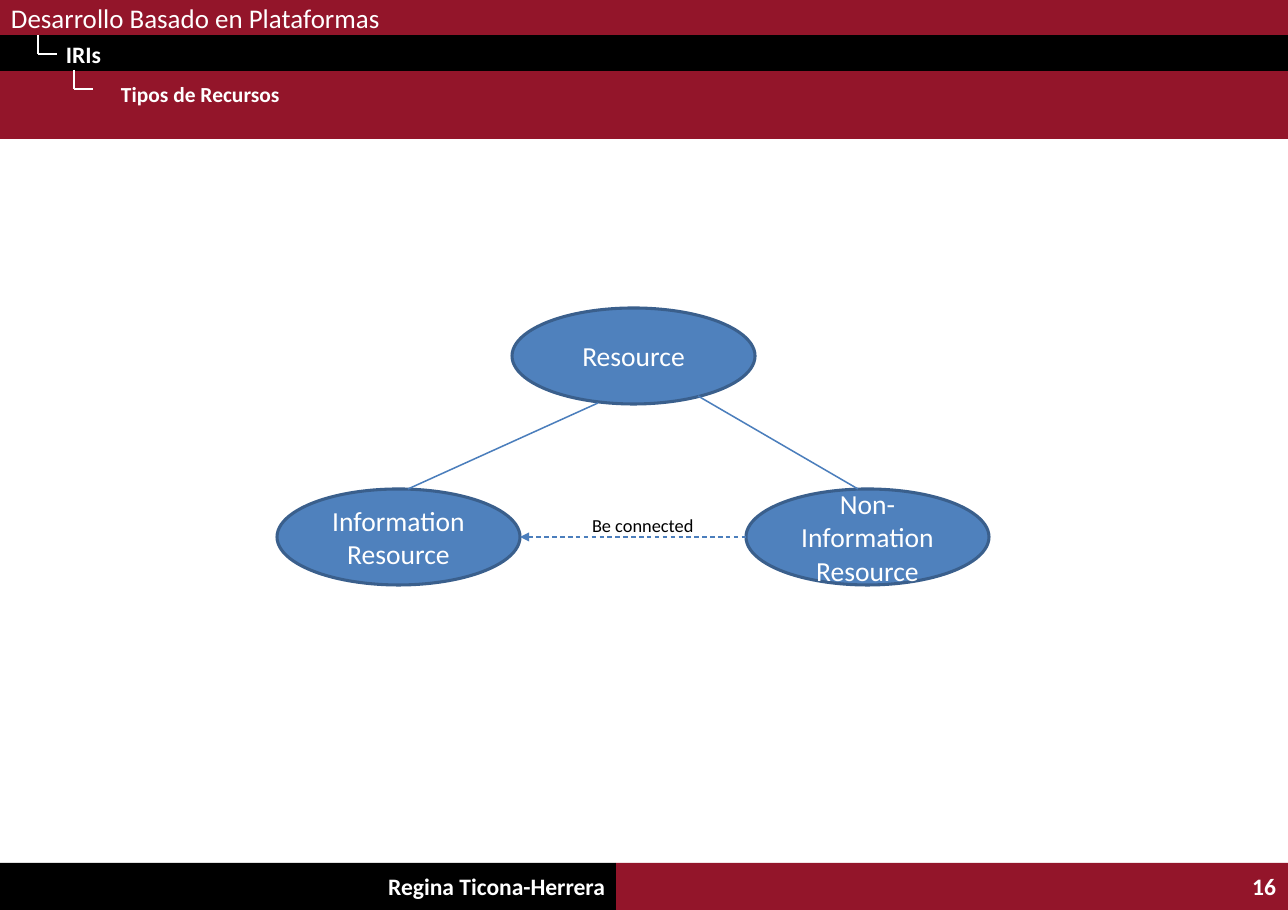
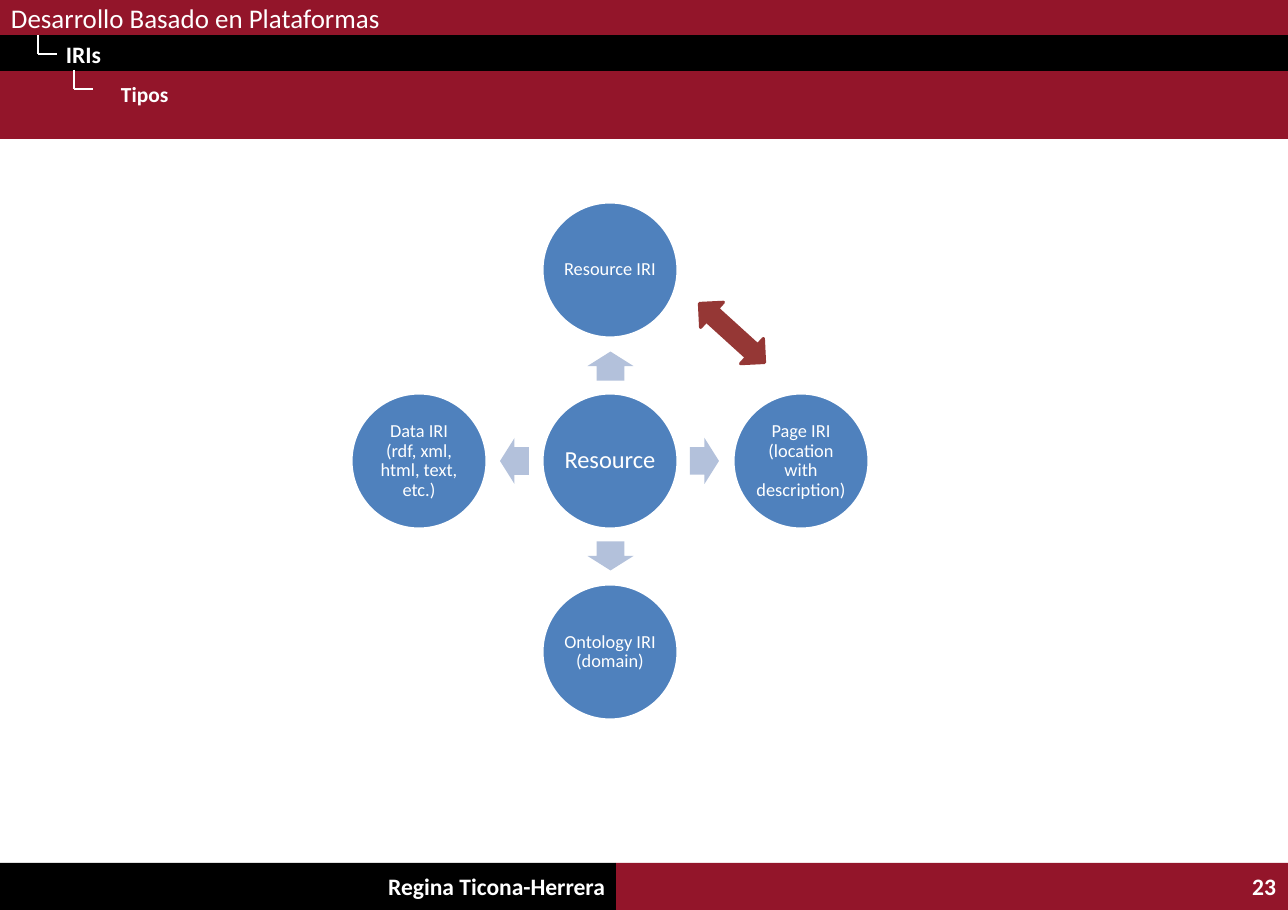
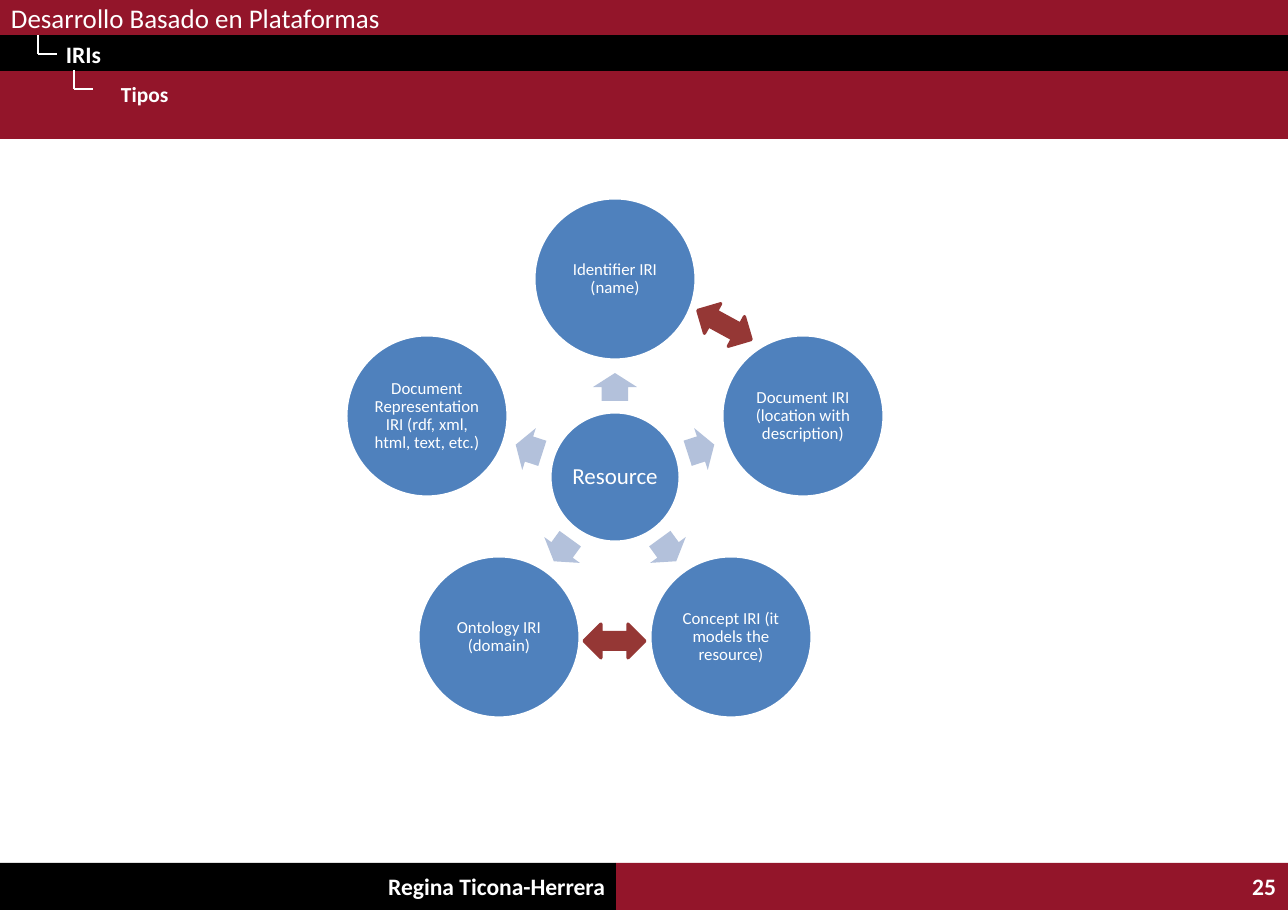
"""Build three slides on resource and IRI types with shared bands and footer."""
from math import cos, radians, sin

from lxml import etree
from pptx import Presentation
from pptx.dml.color import RGBColor
from pptx.enum.dml import MSO_LINE
from pptx.enum.shapes import MSO_CONNECTOR, MSO_SHAPE
from pptx.enum.text import MSO_ANCHOR, PP_ALIGN
from pptx.oxml.ns import qn
from pptx.util import Pt

PX = 8298
WIDE, HIGH = 1288, 910
FOOT, SPLIT = 863, 616
FONT = "Calibri"
WINE = RGBColor(0x93, 0x15, 0x2A)
BLACK = RGBColor(0, 0, 0)
WHITE = RGBColor(0xFF, 0xFF, 0xFF)
BLUE = RGBColor(0x4F, 0x81, 0xBD)
NAVY = RGBColor(0x3A, 0x5F, 0x8C)
STEEL = RGBColor(0x4B, 0x7E, 0xBC)
PALE = RGBColor(0xB3, 0xC1, 0xDB)
BRICK = RGBColor(0x95, 0x37, 0x35)
RECT, OVAL = MSO_SHAPE.RECTANGLE, MSO_SHAPE.OVAL
ARROW, DOUBLE = MSO_SHAPE.RIGHT_ARROW, MSO_SHAPE.LEFT_RIGHT_ARROW
LEFT, CENTER, RIGHT = PP_ALIGN.LEFT, PP_ALIGN.CENTER, PP_ALIGN.RIGHT
MIDDLE, TOP = MSO_ANCHOR.MIDDLE, MSO_ANCHOR.TOP
STRAIGHT = MSO_CONNECTOR.STRAIGHT
DASH = MSO_LINE.DASH


def put(slide, kind, box, text="", fill=None, edge=None, size=12, color=WHITE,
        bold=False, align=CENTER, anchor=MIDDLE, inset=(11, 6, 11, 6),
        lead=None, turn=0):
    """Add a shape, or a text box when kind is None, with formatted text."""
    spot = [round(v) * PX for v in box]
    if kind is None:
        shape = slide.shapes.add_textbox(*spot)
    else:
        shape = slide.shapes.add_shape(kind, *spot)
        shape.shadow.inherit = False
        shape.fill.solid()
        shape.fill.fore_color.rgb = fill
        if edge is None:
            shape.line.fill.background()
        else:
            shape.line.color.rgb = edge
            shape.line.width = Pt(2)
    shape.rotation = turn
    if text:
        frame = shape.text_frame
        frame.word_wrap = True
        frame.vertical_anchor = anchor
        (frame.margin_left, frame.margin_top,
         frame.margin_right, frame.margin_bottom) = [v * PX for v in inset]
        para = frame.paragraphs[0]
        para.alignment = align
        para.line_spacing = lead
        run = para.add_run()
        run.text = text
        run.font.name, run.font.size, run.font.bold = FONT, Pt(size), bold
        run.font.color.rgb = color
    return shape


def link(slide, ends, color, width):
    """Add a straight line between two points."""
    line = slide.shapes.add_connector(STRAIGHT, *[v * PX for v in ends])
    line.line.color.rgb = color
    line.line.width = Pt(width)
    etree.SubElement(line._element.spPr, qn("a:effectLst"))
    return line


deck = Presentation()
deck.slide_width, deck.slide_height = WIDE * PX, HIGH * PX
blank = deck.slide_layouts[6]

slides = []
for topic, page in (("Tipos de Recursos", "16"), ("Tipos", "23"), ("Tipos", "25")):
    slide = deck.slides.add_slide(blank)
    slides.append(slide)
    put(slide, RECT, (0, 0, WIDE, 36), "Desarrollo Basado en Plataformas",
        fill=WINE, size=17.6, align=LEFT)
    put(slide, RECT, (0, 35, WIDE, 39), "IRIs", fill=BLACK, size=15.4,
        bold=True, align=LEFT, inset=(66, 6, 11, 6))
    put(slide, RECT, (0, 71, WIDE, 68), topic, fill=WINE, size=14,
        bold=True, align=LEFT, inset=(121, 6, 11, 28))
    put(slide, RECT, (SPLIT, FOOT, WIDE - SPLIT, HIGH - FOOT), page,
        fill=WINE, size=15.4, bold=True, align=RIGHT, inset=(12, 6, 12, 6))
    put(slide, RECT, (0, FOOT, SPLIT, HIGH - FOOT), "Regina Ticona-Herrera",
        fill=BLACK, size=15.4, bold=True, align=RIGHT)
    for x, y in ((38, 35), (74, 70)):
        link(slide, (x, y, x, y + 19), WHITE, 0.75)
        link(slide, (x, y + 19, x + 19, y + 19), WHITE, 0.75)

tree = slides[0]
for x, y, name in ((277, 489, "Information Resource"),
                   (512, 308, "Resource"),
                   (746, 489, "Non-Information Resource")):
    put(tree, OVAL, (x, y, 243, 96), name, fill=BLUE, edge=NAVY, size=18)
link(tree, (598, 403, 408, 489), STEEL, 1)
link(tree, (698, 396, 858, 489), STEEL, 1)
bond = link(tree, (520, 537, 746, 537), STEEL, 0.75)
bond.line.dash_style = DASH
etree.SubElement(bond.line._get_or_add_ln(), qn("a:headEnd"), type="triangle")
put(tree, None, (581, 508, 130, 33), "Be connected", color=BLACK,
    align=LEFT, anchor=TOP)

wheels = (
    dict(slide=slides[1], mid=(610, 461), hub=136, node=136, reach=191, gap=95,
         arrow=(29, 46), sizes=(16, 12),
         names=("Resource IRI", "Page IRI (location with description)",
                "Ontology IRI (domain)", "Data IRI (rdf, xml, html, text, etc.)"),
         pairs=((732, 333, 88, 42.2),)),
    dict(slide=slides[2], mid=(615, 477), hub=130, node=162, reach=198, gap=90,
         arrow=(28, 44), sizes=(15, 11),
         names=("Identifier IRI (name)",
                "Document IRI (location with description)",
                "Concept IRI (it models the resource)",
                "Ontology IRI (domain)",
                "Document Representation IRI (rdf, xml, html, text, etc.)"),
         pairs=((615, 641, 61, 0), (724, 325, 61, 28.6))),
)
for wheel in wheels:
    slide, (cx, cy) = wheel["slide"], wheel["mid"]
    hub, node = wheel["hub"], wheel["node"]
    wide, high = wheel["arrow"]
    big, small = wheel["sizes"]
    disc = dict(fill=BLUE, edge=WHITE, inset=(2, 2, 2, 2), lead=0.9)
    put(slide, OVAL, (cx - hub / 2, cy - hub / 2, hub, hub), "Resource",
        size=big, **disc)
    for i, name in enumerate(wheel["names"]):
        angle = i * 360 / len(wheel["names"]) - 90
        dx, dy = cos(radians(angle)), sin(radians(angle))
        x, y = cx + wheel["gap"] * dx, cy + wheel["gap"] * dy
        spoke = put(slide, ARROW, (x - wide / 2, y - high / 2, wide, high),
                    fill=PALE, turn=angle)
        spoke.adjustments[0], spoke.adjustments[1] = 0.6, 0.5
        x, y = cx + wheel["reach"] * dx, cy + wheel["reach"] * dy
        put(slide, OVAL, (x - node / 2, y - node / 2, node, node), name,
            size=small, **disc)
    for x, y, span, turn in wheel["pairs"]:
        put(slide, DOUBLE, (x - span / 2, y - 17, span, 34),
            fill=BRICK, edge=BRICK, turn=turn)

deck.save("out.pptx")
